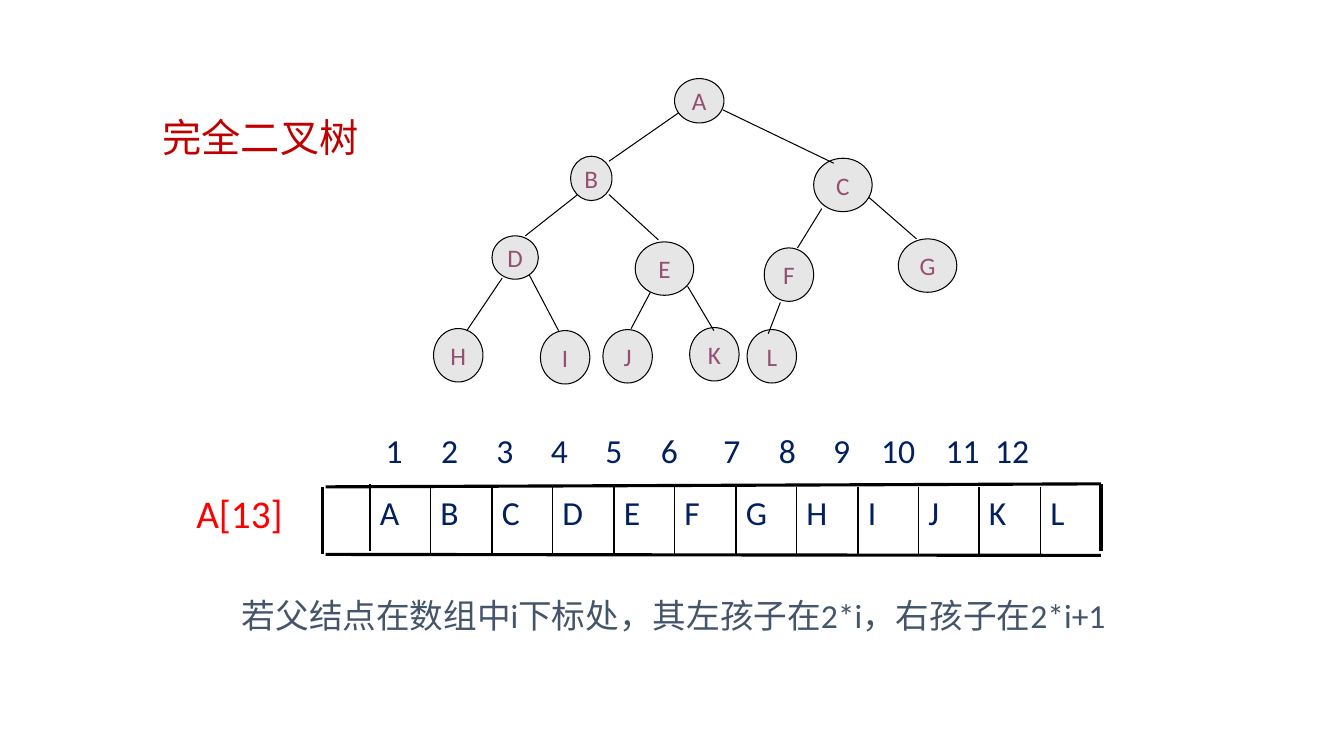
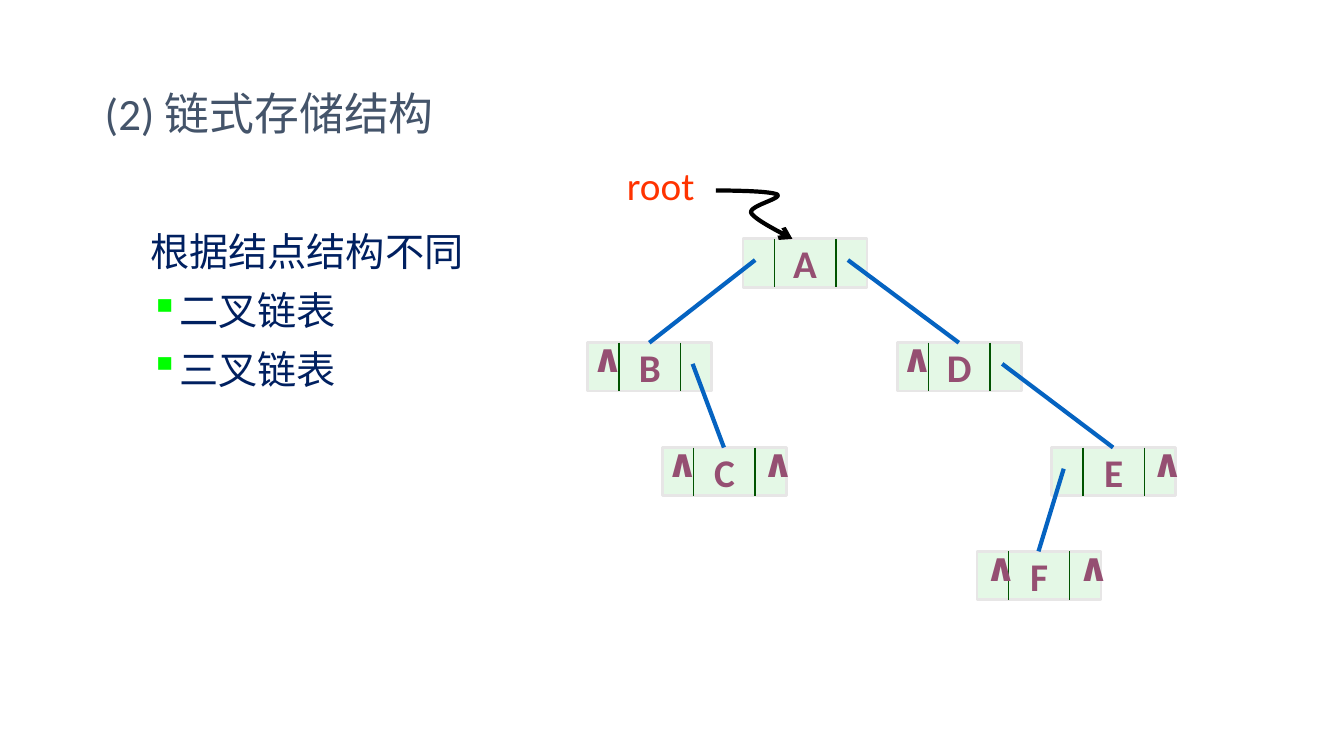
from lxml.etree import SubElement as Sub
from pptx import Presentation as Deck
from pptx.dml.color import RGBColor as Rgb
from pptx.enum.shapes import MSO_CONNECTOR as Conn, MSO_SHAPE as Form
from pptx.enum.text import MSO_ANCHOR as Anchor, PP_ALIGN as Align
from pptx.oxml.ns import qn
from pptx.util import Pt

UNIT = 9144
LATIN, HAN = "Calibri", "Noto Sans CJK SC"
WHITE, BLACK, GREY = "FFFFFF", "000000", "E7E6E6"
NAVY, SLATE, PLUM = "002060", "44546A", "954F72"
RED, WINE, FLAME = "FF0000", "C00000", "FF3300"
MINT, GREEN, LIME, BLUE = "CAF2CE", "005400", "00FF00", "0563C1"
MID = dict(align=Align.CENTER, anchor=Anchor.MIDDLE)

TREE = [
    ("A", 669, 78, 49, 44), ("B", 566, 155, 41, 44), ("C", 807, 157, 58, 53),
    ("D", 488, 234, 46, 43), ("E", 630, 240, 58, 53), ("F", 758, 246, 49, 53),
    ("G", 891, 237, 58, 53), ("H", 430, 326, 49, 53), ("I", 536, 328, 49, 53),
    ("J", 598, 327, 49, 53), ("K", 684, 325, 49, 53), ("L", 741, 327, 49, 53),
]
EDGES = [
    (673, 112, 604, 160), (717, 109, 827, 162), (573, 193, 521, 234),
    (815, 207, 791, 246), (604, 193, 653, 238), (862, 196, 909, 237),
    (498, 276, 463, 328), (525, 273, 554, 328), (645, 290, 626, 326),
    (682, 284, 708, 328), (774, 300, 762, 331),
]
STOPS = [61, 116, 171, 225, 279, 334, 396, 451, 505, 561, 625, 674]

NODES = {
    "A": (737, 237, ()), "D": (890, 340, (-6,)), "E": (1043, 444, (89,)),
    "B": (583, 340, (-6,)), "C": (657, 444, (-6, 89)), "F": (969, 547, (-2, 90)),
}
LEFT, RIGHT = 12, 104
LINKS = [("A", LEFT, "B"), ("A", RIGHT, "D"), ("B", RIGHT, "C"),
         ("D", RIGHT, "E"), ("E", LEFT, "F")]
CURVE = [
    ((710, 189), (737, 189), (765, 190), (771, 193)),
    ((771, 193), (776, 197), (743, 204), (745, 211)),
    ((745, 211), (748, 218), (779, 233), (786, 237)),
]


def px(*nums):
    return [round(n * UNIT) for n in nums]


def rgb(code):
    return Rgb.from_string(code)


def style(item, **form):
    for key, val in form.items():
        setattr(item, key, val)


def ink(line, color, width):
    line.color.rgb = rgb(color)
    line.width = Pt(width)


def write(par, text, size, color, bold=False):
    run = par.add_run()
    run.text = text
    style(run.font, size=Pt(size), name=LATIN, bold=bold)
    run.font.color.rgb = rgb(color)
    Sub(run.font._element, qn("a:ea"), typeface=HAN)


def fill_text(shape, text, size, color, bold=False, wrap=True,
              align=Align.LEFT, anchor=Anchor.TOP):
    frame = shape.text_frame
    style(frame, word_wrap=wrap, vertical_anchor=anchor)
    par = frame.paragraphs[0]
    par.alignment = align
    write(par, text, size, color, bold)
    return par


def label(slide, box, text, size, color, **form):
    shape = slide.shapes.add_textbox(*px(*box))
    return fill_text(shape, text, size, color, **form)


def block(slide, form, box, fill, edge=None, width=0.75):
    shape = slide.shapes.add_shape(form, *px(*box))
    shape.shadow.inherit = False
    shape.fill.solid()
    shape.fill.fore_color.rgb = rgb(fill)
    if edge:
        ink(shape.line, edge, width)
    else:
        shape.line.fill.background()
    return shape


def rule(slide, ends, color, width):
    line = slide.shapes.add_connector(Conn.STRAIGHT, *px(*ends))
    ink(line.line, color, width)
    Sub(line.element.spPr, qn("a:effectLst"))


def bullet(par, color, char, indent):
    props = par._p.get_or_add_pPr()
    gap, = px(indent)
    props.set("marL", str(gap))
    props.set("indent", str(-gap))
    tint = Sub(props, qn("a:buClr"))
    Sub(tint, qn("a:srgbClr"), val=color)
    Sub(props, qn("a:buChar"), char=char)


def tabs(par, stops):
    row = Sub(par._p.get_or_add_pPr(), qn("a:tabLst"))
    for pos in px(*stops):
        Sub(row, qn("a:tab"), pos=str(pos), algn="ctr")


def bezier(pts, t):
    s = 1 - t
    parts = (s ** 3, 3 * s * s * t, 3 * s * t * t, t ** 3)
    return px(*(sum(k * v for k, v in zip(parts, axis)) for axis in zip(*pts)))


def arrow(slide, curve, color, width):
    steps = 16
    path = slide.shapes.build_freeform(*px(*curve[0][0]))
    path.add_line_segments(
        [bezier(pts, n / steps) for pts in curve for n in range(1, steps + 1)],
        close=False)
    shape = path.convert_to_shape()
    shape.shadow.inherit = False
    shape.fill.background()
    ink(shape.line, color, width)
    Sub(shape.element.spPr.find(qn("a:ln")), qn("a:tailEnd"), type="arrow")


def array(slide):
    for n, name in enumerate("ABCDEFGHIJKL"):
        x = 367 + round(n * 60.45)
        label(slide, (x, 483, 60, 67), name, 24, NAVY)
        lift = 0 if n else 3
        rule(slide, (x, 483 - lift, x, 550 - lift), BLACK, 1)
    for ends in ((323, 483, 1092, 480), (323, 550, 1092, 551),
                 (320, 483, 320, 550), (1092, 480, 1092, 547)):
        rule(slide, ends, BLACK, 2.25)
    marks = "".join(f"\t{n}" for n in range(1, 13))
    tabs(label(slide, (320, 422, 772, 50), marks, 24, NAVY), STOPS)


def full_tree(slide):
    head = block(slide, Form.RECTANGLE, (135, 105, 247, 62), WHITE)
    fill_text(head, "完全二叉树", 28, WINE, **MID)
    for name, *box in TREE:
        ball = block(slide, Form.OVAL, box, GREY, BLACK)
        fill_text(ball, name, 18, PLUM, wrap=False, **MID)
    for ends in EDGES:
        rule(slide, ends, BLACK, 0.75)
    label(slide, (184, 481, 107, 57), "A[13]", 28, RED, wrap=False,
          align=Align.CENTER)
    array(slide)
    note = block(slide, Form.RECTANGLE, (230, 585, 948, 50), WHITE, WHITE)
    fill_text(note, "若父结点在数组中i下标处，其左孩子在2*i，右孩子在2*i+1", 24, SLATE)


def node(slide, name, x, y):
    shape = block(slide, Form.RECTANGLE, (x, y, 123, 48), MINT, GREY, 2)
    tint = shape.element.spPr.find(qn("a:solidFill")).find(qn("a:srgbClr"))
    Sub(tint, qn("a:alpha"), val="50000")
    fill_text(shape, name, 28, PLUM, bold=True, wrap=False, **MID)
    for dx in (31, 92):
        rule(slide, (x + dx, y, x + dx, y + 48), GREEN, 1)


def linked(slide):
    par = label(slide, (139, 209, 715, 207), "根据结点结构不同", 28, NAVY)
    par.line_spacing = 1.25
    frame = slide.shapes[0].text_frame
    for text in ("二叉链表", "三叉链表"):
        par = frame.add_paragraph()
        bullet(par, LIME, "▪", 23)
        par.line_spacing = 1.25
        write(par, text, 28, NAVY)
    label(slide, (94, 80, 450, 64), "(2) 链式存储结构", 32, SLATE)
    for name, (x, y, _) in NODES.items():
        node(slide, name, x, y)
    for x, y, marks in NODES.values():
        for dx in marks:
            label(slide, (x + dx, y - 14, 32, 47), "∧", 28, PLUM,
                  bold=True, wrap=False)
    for start, dx, end in LINKS:
        x, y, _ = NODES[start]
        to_x, to_y, _ = NODES[end]
        rule(slide, (x + dx, y + 21, to_x + 61, to_y), BLUE, 3)
    arrow(slide, CURVE, BLACK, 3)
    label(slide, (612, 155, 88, 57), "root", 28, FLAME, wrap=False)


def main():
    deck = Deck()
    wide, high = px(1333, 750)
    style(deck, slide_width=wide, slide_height=high)
    for draw in (full_tree, linked):
        draw(deck.slides.add_slide(deck.slide_layouts[6]))
    deck.save("out.pptx")


if __name__ == "__main__":
    main()
